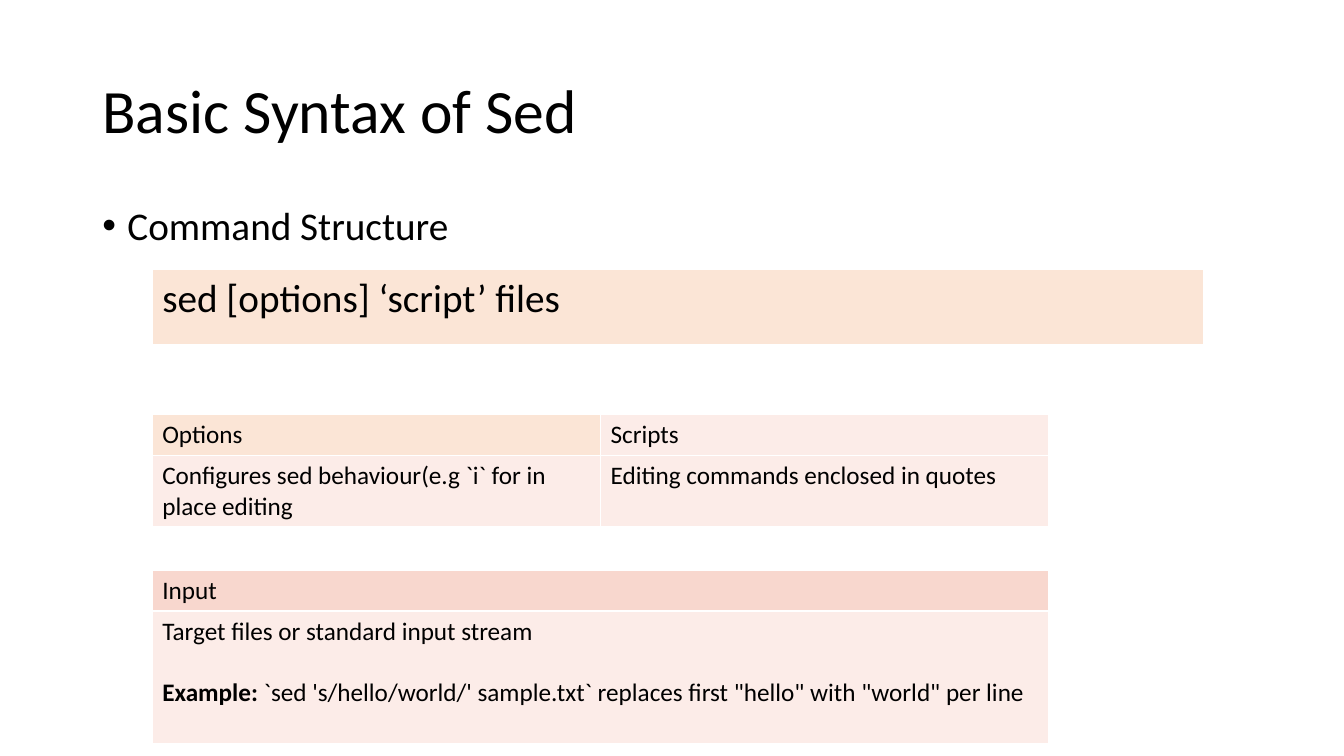
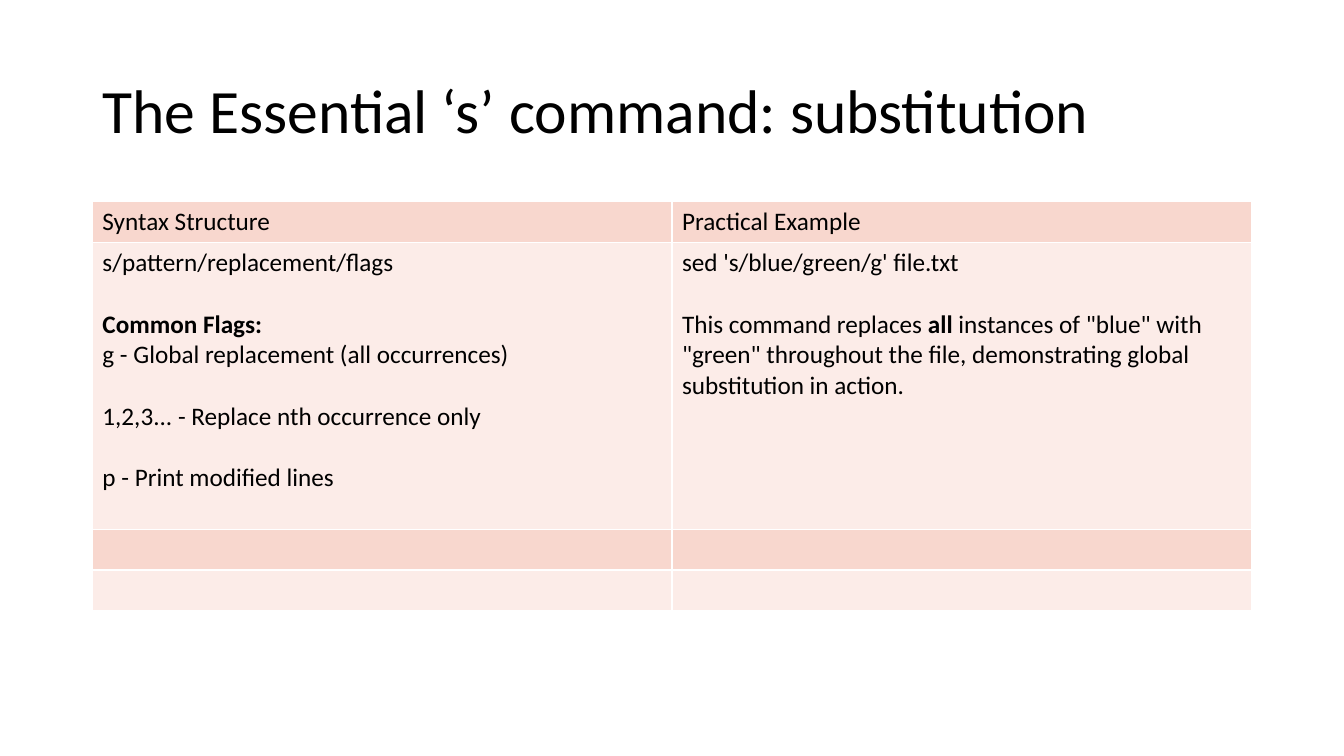
import dataclasses

import lxml.etree
import pptx
import pptx.dml.color
import pptx.enum.text
import pptx.oxml
import pptx.oxml.ns
import pptx.util

PX = 9525


@dataclasses.dataclass(frozen=True)
class Theme:
    """Colours, font, type sizes and shared measures."""
    font: str = "Calibri"
    ink: str = "000000"
    border: str = "FFFFFF"
    peach: str = "FBE5D6"
    rose: str = "F8D7CE"
    blush: str = "FCECE8"
    title_size: int = 44
    lead_size: int = 28
    cell_size: int = 18
    paragraph_gap: int = 22
    margin: int = 88
    content_width: int = 1104
    body_top: int = 192
    indent_left: int = 145
    row_height: int = 39


THEME = Theme()


@dataclasses.dataclass(frozen=True)
class Spaced:
    """A paragraph set off from the one above it."""
    text: str


def px(length):
    """Turn px into EMU."""
    return pptx.util.Emu(length * PX)


def write_text(frame, *paragraphs, size, line_spacing=None):
    """Fill a text frame; text between double asterisks is bold."""
    for index, content in enumerate(paragraphs):
        paragraph = frame.add_paragraph() if index else frame.paragraphs[0]
        paragraph.alignment = pptx.enum.text.PP_ALIGN.LEFT
        if line_spacing:
            paragraph.line_spacing = line_spacing
        if isinstance(content, Spaced):
            paragraph.space_before = pptx.util.Pt(THEME.paragraph_gap)
            content = content.text
        for part, text in enumerate(content.split("**")):
            if text:
                run = paragraph.add_run()
                run.text = text
                run.font.name = THEME.font
                run.font.size = pptx.util.Pt(size)
                run.font.bold = part % 2 == 1
                run.font.color.rgb = pptx.dml.color.RGBColor.from_string(THEME.ink)


def add_titled_slide(presentation, title):
    """Add a title-only slide and format its title."""
    slide = presentation.slides.add_slide(presentation.slide_layouts[5])
    shape = slide.shapes.title
    shape.left, shape.top = px(THEME.margin), px(39)
    shape.width, shape.height = px(THEME.content_width), px(139)
    frame = shape.text_frame
    frame.auto_size = pptx.enum.text.MSO_AUTO_SIZE.NONE
    frame.vertical_anchor = pptx.enum.text.MSO_ANCHOR.MIDDLE
    write_text(frame, title, size=THEME.title_size, line_spacing=0.9)
    return slide


def add_bullet(slide, text):
    """Add a bulleted lead line below the title."""
    shape = slide.shapes.add_textbox(
        px(THEME.margin), px(THEME.body_top), px(THEME.content_width), px(50))
    frame = shape.text_frame
    frame.word_wrap = True
    write_text(frame, text, size=THEME.lead_size, line_spacing=0.9)
    properties = frame.paragraphs[0]._p.get_or_add_pPr()
    properties.set("marL", str(px(24)))
    properties.set("indent", str(-px(24)))
    for tag, name, value in (("a:buFont", "typeface", "Arial"), ("a:buChar", "char", "•")):
        lxml.etree.SubElement(properties, pptx.oxml.ns.qn(tag)).set(name, value)


def add_borders(cell):
    """Draw a thin border on all four sides of a cell."""
    properties = cell._tc.get_or_add_tcPr()
    for side in ("lnL", "lnR", "lnT", "lnB"):
        properties.append(pptx.oxml.parse_xml(
            f'<a:{side} {pptx.oxml.ns.nsdecls("a")} w="{pptx.util.Pt(1)}"><a:solidFill>'
            f'<a:srgbClr val="{THEME.border}"/></a:solidFill></a:{side}>'))


def add_grid(slide, left, top, width, heights, rows, fills, size=THEME.cell_size):
    """Add a table of equal columns; each cell is a tuple of paragraphs."""
    columns = len(rows[0])
    table = slide.shapes.add_table(
        len(rows), columns, px(left), px(top), px(width), px(sum(heights))).table
    table.first_row = table.horz_banding = False
    for row, height in zip(table.rows, heights):
        row.height = px(height)
    for row_index, (contents, colors) in enumerate(zip(rows, fills)):
        for column_index, (paragraphs, color) in enumerate(zip(contents, colors)):
            cell = table.cell(row_index, column_index)
            add_borders(cell)
            cell.fill.solid()
            cell.fill.fore_color.rgb = pptx.dml.color.RGBColor.from_string(color)
            write_text(cell.text_frame, *paragraphs, size=size)


def build_syntax_slide(presentation):
    """Build the slide on the command structure."""
    slide = add_titled_slide(presentation, "Basic Syntax of Sed")
    add_bullet(slide, "Command Structure")
    left = THEME.indent_left
    add_grid(slide, left, 257, 1001, [71], [[("sed [options] ‘script’ files",)]],
             [[THEME.peach]], size=THEME.lead_size)
    add_grid(slide, left, 395, 854, [THEME.row_height, 67], [
        [("Options",), ("Scripts",)],
        [("Configures sed behaviour(e.g `i` for in place editing",),
         ("Editing commands enclosed in quotes",)],
    ], [[THEME.peach, THEME.blush], [THEME.blush] * 2])
    add_grid(slide, left, 543, 854, [THEME.row_height, 126], [
        [("Input",)],
        [("Target files or standard input stream",
          Spaced("**Example:** `sed 's/hello/world/' sample.txt` replaces first "
                 '"hello" with "world" per line'))],
    ], [[THEME.rose], [THEME.blush]])


def build_substitution_slide(presentation):
    """Build the slide on the substitution command."""
    slide = add_titled_slide(presentation, "The Essential ‘s’ command: substitution")
    height = THEME.row_height
    add_grid(slide, THEME.margin, THEME.body_top, THEME.content_width,
             [height, 273, height, height], [
        [("Syntax Structure",), ("Practical Example",)],
        [("s/pattern/replacement/flags",
          Spaced("**Common Flags:**"),
          "g - Global replacement (all occurrences)",
          Spaced("1,2,3... - Replace nth occurrence only"),
          Spaced("p - Print modified lines")),
         ("sed 's/blue/green/g' file.txt",
          Spaced('This command replaces **all** instances of "blue" with "green" '
                 "throughout the file, demonstrating global substitution in action."))],
        [(), ()],
        [(), ()],
    ], [[THEME.rose] * 2, [THEME.blush] * 2] * 2)


def main():
    """Build and save the presentation."""
    presentation = pptx.Presentation()
    presentation.slide_width, presentation.slide_height = px(1280), px(720)
    build_syntax_slide(presentation)
    build_substitution_slide(presentation)
    presentation.save("out.pptx")


if __name__ == "__main__":
    main()
